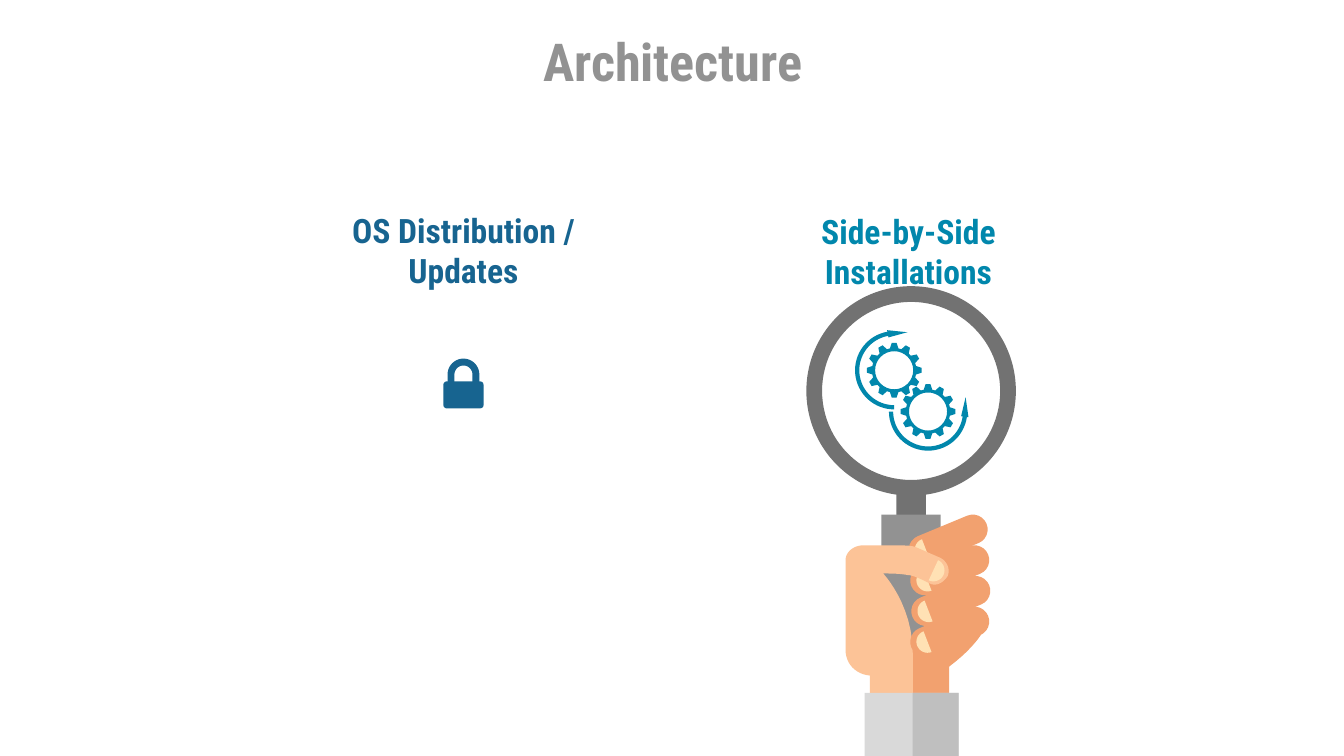
from math import cos, radians, sin

from pptx import Presentation
from pptx.dml.color import RGBColor
from pptx.enum.shapes import MSO_SHAPE
from pptx.enum.text import MSO_ANCHOR, PP_ALIGN
from pptx.util import Cm, Pt

FONT = "Roboto Condensed"
NAVY = RGBColor(0x17, 0x64, 0x90)
TEAL = RGBColor(0x01, 0x87, 0xAC)
GRAY = RGBColor(0x92, 0x92, 0x92)
DARK_GRAY = RGBColor(0x72, 0x72, 0x72)
SKIN = RGBColor(0xFC, 0xC3, 0x97)
SKIN_SHADE = RGBColor(0xF2, 0xA1, 0x6F)
NAIL = RGBColor(0xFF, 0xE1, 0xB4)
SLEEVE = RGBColor(0xD9, 0xD9, 0xD9)
SLEEVE_SHADE = RGBColor(0xBF, 0xBF, 0xBF)

PALM = [
    (1.78, 0.23), (1.32, 0.03), (1.24, 0, 1.04, 0, 1.02, 0),
    (0.33, 0), (0.15, 0, 0, 0.13, 0, 0.28),
    (0, 1.98), (0, 2.24, 0.2, 2.44, 0.46, 2.46),
    (0.46, 2.82), (1.27, 2.82), (1.27, 2.03),
    (1.27, 1.12, 0.71, 0.53, 0.71, 0.53),
    (0.71, 0.53, 1.04, 0.53, 1.17, 0.56),
    (1.3, 0.56, 1.57, 0.71, 1.57, 0.71),
    (1.7, 0.79, 1.85, 0.71, 1.93, 0.58),
    (1.98, 0.46, 1.93, 0.3, 1.78, 0.23),
]
WRIST = [
    (2.64, 1.55), (2.64, 1.55, 2.51, 1.88, 1.96, 2.29),
    (1.96, 2.82), (1.22, 2.82), (1.22, 1.88),
]


def paint(sp, color):
    sp.shadow.inherit = False
    sp.fill.solid()
    sp.fill.fore_color.rgb = color
    sp.line.fill.background()
    return sp


def preset(shapes, kind, x, y, w, h, color, adj=None):
    sp = paint(shapes.add_shape(kind, Cm(x), Cm(y), Cm(w), Cm(h)), color)
    if adj is not None:
        sp.adjustments[0] = adj
    return sp


def outline(shapes, x, y, contours, color):
    fb = None
    for contour in contours:
        pts = [(Cm(x + px), Cm(y + py)) for px, py in contour]
        if fb is None:
            fb = shapes.build_freeform(*pts[0])
        else:
            fb.move_to(*pts[0])
        fb.add_line_segments(pts[1:], close=True)
    return paint(fb.convert_to_shape(), color)


def polar(r, deg):
    return r * cos(radians(deg)), r * sin(radians(deg))


def arc(r, start, end, steps=32):
    return [polar(r, start + (end - start) * i / steps) for i in range(steps + 1)]


def smooth(path, steps=12):
    pts = [path[0]]
    for seg in path[1:]:
        if len(seg) == 2:
            pts.append(seg)
            continue
        ctrl = [pts[-1], seg[:2], seg[2:4], seg[4:]]
        for i in range(1, steps + 1):
            t = i / steps
            weights = ((1 - t) ** 3, 3 * t * (1 - t) ** 2, 3 * t * t * (1 - t), t ** 3)
            pts.append(tuple(sum(k * c[a] for k, c in zip(weights, ctrl)) for a in (0, 1)))
    return pts


def add_text(s, box, text, size, color, anchor=MSO_ANCHOR.TOP, wrap=True):
    tf = s.shapes.add_textbox(*[Cm(v) for v in box]).text_frame
    frame = {"margin_left": 0, "margin_right": 0, "margin_top": 0,
             "margin_bottom": 0, "word_wrap": wrap, "vertical_anchor": anchor}
    for name, value in frame.items():
        setattr(tf, name, value)
    p = tf.paragraphs[0]
    p.alignment = PP_ALIGN.CENTER
    r = p.add_run()
    r.text = text
    for name, value in {"name": FONT, "size": Pt(size), "bold": True}.items():
        setattr(r.font, name, value)
    r.font.color.rgb = color


def add_lock(s, x, y, w, h):
    shapes = s.shapes.add_group_shape().shapes
    body = 0.51
    preset(shapes, MSO_SHAPE.ROUNDED_RECTANGLE, x, y + h - body, w, body, NAVY, 0.12)
    outer, inner, leg = 0.3, 0.17, 0.18
    shackle = [(-outer, leg), *arc(outer, 180, 360), (outer, leg),
               (inner, leg), *arc(inner, 360, 180), (-inner, leg)]
    outline(shapes, x + w / 2, y + outer, [shackle], NAVY)


def add_magnifier(s, x, y, size):
    shapes = s.shapes.add_group_shape().shapes
    mid = x + size / 2
    for w, top, h, color in [(0.56, 3.84, 0.56, DARK_GRAY), (1.12, 4.32, 2.39, GRAY)]:
        preset(shapes, MSO_SHAPE.RECTANGLE, mid - w / 2, y + top, w, h, color)
    preset(shapes, MSO_SHAPE.DONUT, x, y, size, size, DARK_GRAY, 0.075)


def add_gears(s, x, y):
    shapes = s.shapes.add_group_shape().shapes
    tooth = [(0.52, -5), (0.52, 5), (0.42, 11), (0.42, 19)]
    wheel = [polar(r, 30 * k + deg) for k in range(12) for r, deg in tooth]
    for cx, cy, start, end, turn in [(1.66, 1.59, 90, 260, 1), (2.3, 2.37, 180, 8, -1)]:
        outline(shapes, x + cx, y + cy, [wheel, arc(0.36, 360, 0)], TEAL)
        head = [polar(0.77, end), polar(0.76, end + 29 * turn), polar(0.63, end)]
        arrow = arc(0.74, start, end) + head + arc(0.66, end, start)
        outline(shapes, x + cx, y + cy, [arrow], TEAL)


def add_finger(shapes, cx, cy):
    w, h = 1.57, 0.56
    sp = preset(shapes, MSO_SHAPE.ROUNDED_RECTANGLE, cx - w / 2, cy - h / 2, w, h,
                SKIN_SHADE, 0.5)
    sp.rotation = -22.5
    outline(shapes, cx - 0.42, cy + 0.19, [arc(0.21, 69, 249)], NAIL)


def add_hand(s, x, y):
    shapes = s.shapes.add_group_shape().shapes
    fingers = [(x + dx, y - 0.11 + 0.58 * k)
               for k, dx in enumerate([1.94, 1.97, 1.99, 1.97])]
    outline(shapes, x, y, [smooth(WRIST)], SKIN_SHADE)
    for cx, cy in fingers[:2]:
        add_finger(shapes, cx, cy)
    outline(shapes, x, y, [smooth(PALM)], SKIN)
    outline(shapes, x + 1.66, y + 0.47, [arc(0.21, 115, -65)], NAIL)
    for dx, w, color in [(0.36, 1.78, SLEEVE), (1.27, 0.87, SLEEVE_SHADE)]:
        preset(shapes, MSO_SHAPE.RECTANGLE, x + dx, y + 2.79, w, 1.19, color)
    for cx, cy in fingers[2:]:
        add_finger(shapes, cx, cy)


def main():
    prs = Presentation()
    prs.slide_width, prs.slide_height = Cm(25.4), Cm(14.29)
    s = prs.slides.add_slide(prs.slide_layouts[6])
    add_text(s, (6.1, 0.56, 13.23, 1.17), "Architecture", 28, GRAY,
             MSO_ANCHOR.MIDDLE, False)
    add_text(s, (5.61, 3.96, 6.3, 0.76), "OS Distribution / Updates", 18, NAVY)
    add_lock(s, 8.38, 6.78, 0.76, 0.94)
    add_magnifier(s, 15.24, 5.41, 3.96)
    add_hand(s, 15.98, 10.31)
    add_gears(s, 15.24, 5.41)
    add_text(s, (14.02, 3.99, 6.3, 0.76), "Side-by-Side Installations", 18, TEAL)
    prs.save("out.pptx")


if __name__ == "__main__":
    main()
